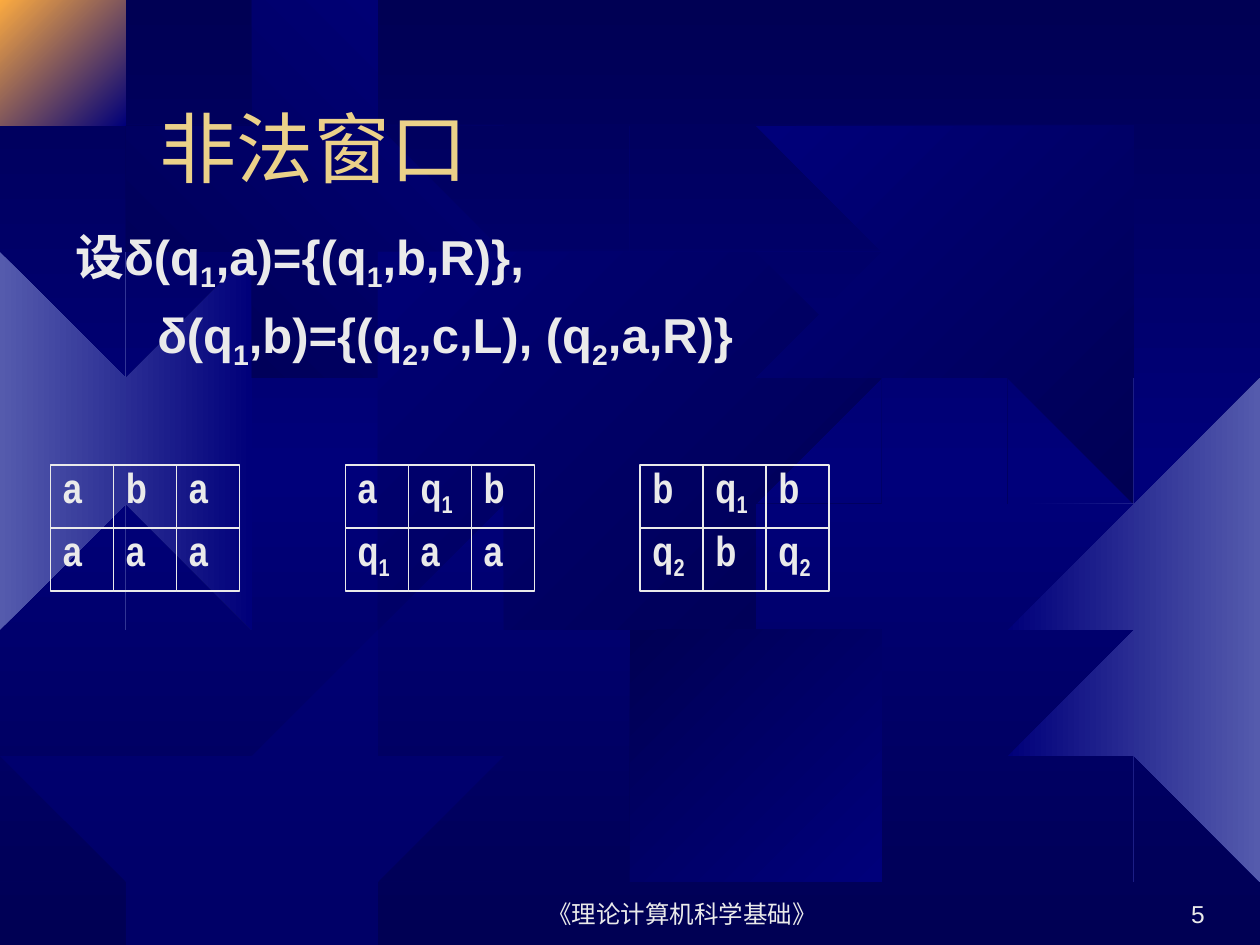
from copy import deepcopy

from lxml import etree
from pptx import Presentation
from pptx.dml.color import RGBColor
from pptx.enum.shapes import MSO_SHAPE
from pptx.enum.text import MSO_ANCHOR, PP_ALIGN
from pptx.oxml.ns import qn
from pptx.util import Inches, Pt

BOTTOM, TOP = MSO_ANCHOR.BOTTOM, MSO_ANCHOR.TOP
LEFT, CENTER, RIGHT = PP_ALIGN.LEFT, PP_ALIGN.CENTER, PP_ALIGN.RIGHT
RECTANGLE = MSO_SHAPE.RECTANGLE

DARK, NAVY, LAVENDER, ORANGE = "000054", "00007A", "555BAD", "FCAB40"
TEXT, GOLD = "EAEAEA", "EBD189"

PAGE_WIDTH, PAGE_HEIGHT = 10, 7.5
CELL = 0.5

# Outline of a gear that is GEAR_SIZE units wide and high
GEAR_SIZE = 401
GEAR = [
    (255, 67), (223, 59), (219, 0), (180, 3), (177, 59), (151, 68), (113, 20), (87, 35),
    (112, 88), (94, 106), (38, 85), (25, 107), (68, 145), (61, 174), (1, 178), (0, 210),
    (61, 219), (67, 246), (22, 287), (38, 312), (88, 288), (107, 307), (81, 355), (106, 375),
    (151, 332), (177, 341), (183, 400), (222, 401), (226, 339), (259, 330), (299, 374), (325, 358),
    (299, 306), (316, 284), (368, 309), (384, 281), (336, 246), (342, 216), (401, 210), (400, 180),
    (341, 171), (335, 148), (383, 114), (367, 87), (313, 109), (296, 91), (323, 41), (297, 25),
]

# left, top, size, first colour, last colour, clockwise angle
GEARS = [
    (-0.49, 2.01, 2.96, LAVENDER, NAVY, 0),
    (0.12, -0.04, 0.92, ORANGE, NAVY, 45),
    (1.3, 0.39, 2.48, DARK, NAVY, 315),
    (2.77, 1.39, 4.01, NAVY, DARK, 45),
    (0, 5.25, 3.74, NAVY, None, 0),
    (4.91, 4.84, 2.48, DARK, NAVY, 45),
    (6.18, 0.53, 3.2, NAVY, DARK, 45),
    (7.82, 2.8, 4.37, NAVY, LAVENDER, 0),
]

WINDOWS = [
    [["a", "b", "a"], ["a", "a", "a"]],
    [["a", "q_1", "b"], ["q_1", "a", "a"]],
    [["b", "q_1", "b"], ["q_2", "b", "q_2"]],
]


def rgb(color):
    return RGBColor.from_string(color)


def set_gradient(fill, first, last, angle):
    fill.gradient()
    fill.gradient_angle = -angle % 360
    for stop, color in zip(fill.gradient_stops, (first, last)):
        stop.color.rgb = rgb(color)


def set_background(slide):
    """Dark at top and bottom, lighter in the middle."""
    set_gradient(slide.background.fill, DARK, DARK, 90)
    stops = next(slide.element.iter(qn("a:gsLst")))
    stops.insert(1, deepcopy(stops[0]))
    stops[1].set("pos", "50000")
    slide.background.fill.gradient_stops[1].color.rgb = rgb(NAVY)


def clip(points, axis, limit, side):
    """Keep the part of a polygon on one side (1 above, -1 below) of a limit."""
    kept = []
    for start, end in zip(points[-1:] + points[:-1], points):
        start_gap, end_gap = (side * (point[axis] - limit) for point in (start, end))
        if start_gap * end_gap < 0:
            ratio = start_gap / (start_gap - end_gap)
            kept.append(tuple(a + (b - a) * ratio for a, b in zip(start, end)))
        if end_gap >= 0:
            kept.append(end)
    return kept


def add_gear(slide, left, top, size, first, last, angle):
    """Draw a gear cut off at the page edges; without a last colour it is half transparent."""
    scale = size / GEAR_SIZE
    points = [(left + x * scale, top + y * scale) for x, y in GEAR]
    for axis, limit in enumerate((PAGE_WIDTH, PAGE_HEIGHT)):
        points = clip(clip(points, axis, 0, 1), axis, limit, -1)
    builder = slide.shapes.build_freeform(*points[0], scale=Inches(1))
    builder.add_line_segments(points[1:], close=True)
    gear = builder.convert_to_shape()
    gear.shadow.inherit = False
    gear.line.fill.background()
    if last:
        set_gradient(gear.fill, first, last, angle)
    else:
        gear.fill.solid()
        gear.fill.fore_color.rgb = rgb(first)
        color = next(gear.element.spPr.iter(qn("a:srgbClr")))
        etree.SubElement(color, qn("a:alpha"), val="50000")


def add_run(paragraph, text, subscript=False):
    run = paragraph.add_run()
    run.text = text
    if subscript:
        run.font._element.set("baseline", "-25000")


def fill_paragraph(paragraph, text):
    """Write text in which an underscore lowers the next character."""
    start, *parts = text.split("_")
    add_run(paragraph, start)
    for part in parts:
        add_run(paragraph, part[0], subscript=True)
        if part[1:]:
            add_run(paragraph, part[1:])


def add_text(parent, box, lines, size, color=TEXT, font="Arial", bold=False,
             align=LEFT, anchor=TOP):
    text_box = parent.shapes.add_textbox(*map(Inches, box))
    frame = text_box.text_frame
    frame.word_wrap = True
    frame.vertical_anchor = anchor
    for index, line in enumerate(lines):
        paragraph = frame.add_paragraph() if index else frame.paragraphs[0]
        fill_paragraph(paragraph, line)
        paragraph.alignment = align
        paragraph.font.size = Pt(size)
        paragraph.font.name = font
        paragraph.font.bold = bold
        paragraph.font.color.rgb = rgb(color)
    return frame.paragraphs


def add_window(slide, left, top, rows):
    group = slide.shapes.add_group_shape()
    for row, symbols in enumerate(rows):
        for column, symbol in enumerate(symbols):
            x, y = left + column * CELL, top + row * CELL
            cell = group.shapes.add_shape(RECTANGLE, *map(Inches, (x, y, CELL, CELL)))
            cell.shadow.inherit = False
            cell.fill.background()
            cell.line.color.rgb = rgb(TEXT)
            cell.line.width = Pt(0.75)
            add_text(group, (x, y - 0.08, 0.58, CELL), [symbol], 24,
                     font="Arial Narrow", bold=True)


def main():
    presentation = Presentation()
    presentation.slide_width = Inches(PAGE_WIDTH)
    presentation.slide_height = Inches(PAGE_HEIGHT)
    slide = presentation.slides.add_slide(presentation.slide_layouts[6])
    set_background(slide)
    for gear in GEARS:
        add_gear(slide, *gear)

    add_text(slide, (3.83, 6.92, 3.17, 0.5), ["《理论计算机科学基础》"], 14,
             align=CENTER, anchor=BOTTOM)
    add_text(slide, (7.58, 6.92, 2.08, 0.5), ["5"], 14, align=RIGHT, anchor=BOTTOM)
    add_text(slide, (1.17, 0.33, 8.5, 1.25), ["非法窗口"], 44, GOLD, anchor=BOTTOM)
    rules = ["设δ(q_1,a)={(q_1,b,R)},", "δ(q_1,b)={(q_2,c,L), (q_2,a,R)}"]
    second_rule = add_text(slide, (0.5, 1.75, 9, 1.65), rules, 28, bold=True)[1]
    second_rule.space_before = Pt(6)
    second_rule._p.get_or_add_pPr().set("marL", str(Inches(0.65)))

    for index, rows in enumerate(WINDOWS):
        add_window(slide, 0.4 + index * 2.34, 3.69, rows)
    presentation.save("out.pptx")


if __name__ == "__main__":
    main()
